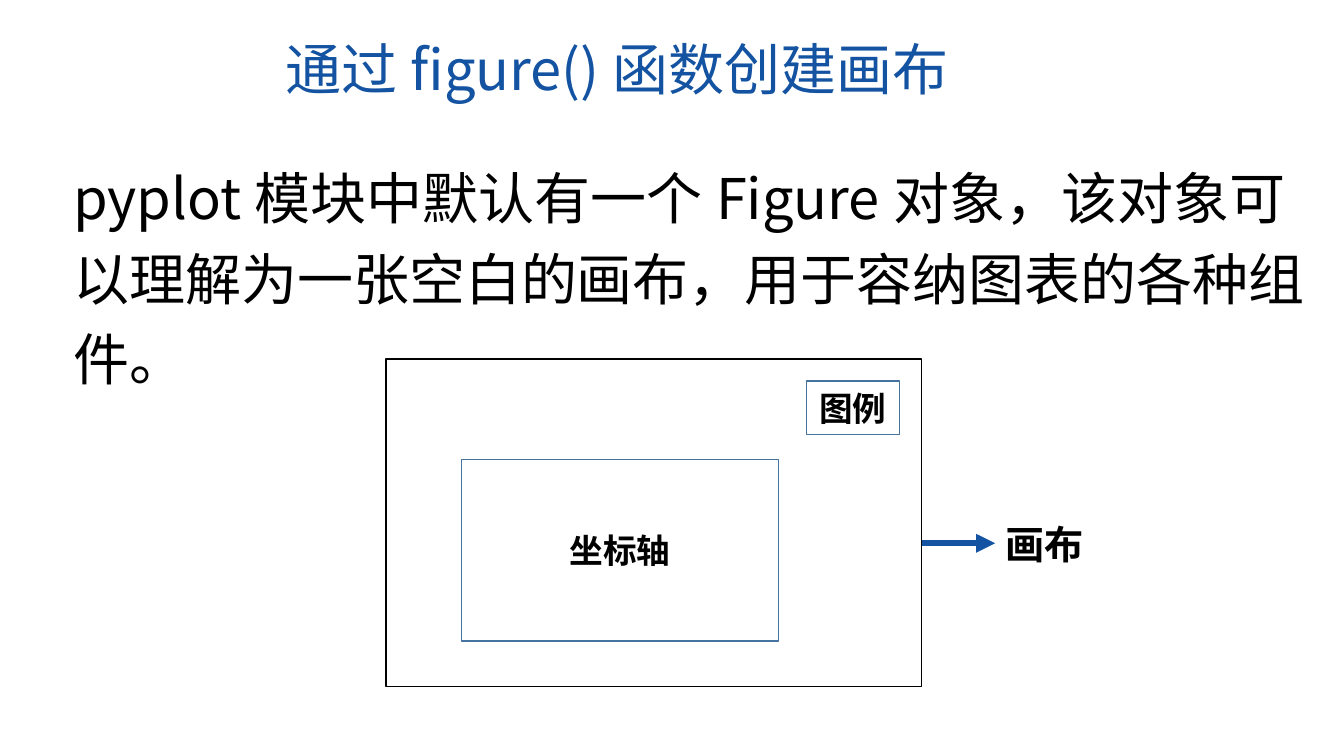
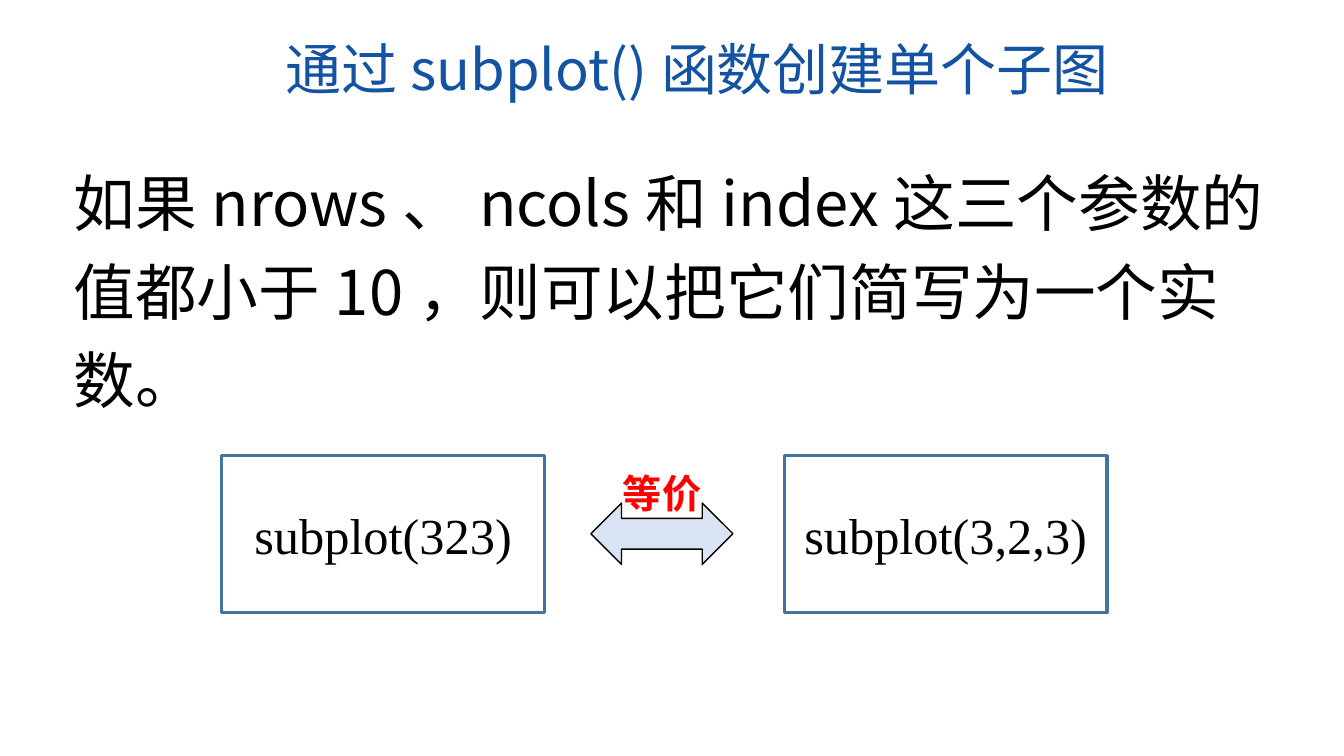
from lxml.etree import SubElement
from pptx import Presentation
from pptx.dml.color import RGBColor
from pptx.enum.lang import MSO_LANGUAGE_ID
from pptx.enum.shapes import MSO_CONNECTOR, MSO_SHAPE
from pptx.enum.text import MSO_ANCHOR, PP_ALIGN
from pptx.oxml.ns import qn
from pptx.util import Inches, Pt

BLUE = RGBColor(0x13, 0x53, 0xA2)
STEEL = RGBColor(0x43, 0x73, 0x9E)
PALE = RGBColor(0xDA, 0xE3, 0xF3)
RED = RGBColor(0xFF, 0x00, 0x00)
BLACK = RGBColor(0x00, 0x00, 0x00)
WHITE = RGBColor(0xFF, 0xFF, 0xFF)
SANS = "Noto Sans CJK SC"
SERIF = "Times New Roman"


class Lesson:
    """Hold the shared style and the current slide."""

    def __init__(self):
        self.deck = Presentation()
        self.deck.slide_width = Inches(13.33)
        self.deck.slide_height = Inches(7.5)
        self.page = None

    def add_page(self, title):
        self.page = self.deck.slides.add_slide(self.deck.slide_layouts[6])
        self.text(title, 2.73, 0.29, 8.41, 0.77, 40, BLUE)

    def set_words(self, box, words, size, color=BLACK, bold=False, font=SANS):
        box.text_frame.text = words
        paragraph = box.text_frame.paragraphs[0]
        for span in paragraph.runs:
            span.font.size = Pt(size)
            span.font.bold = bold
            span.font.color.rgb = color
            span.font.name = font
            span.font.language_id = MSO_LANGUAGE_ID.SIMPLIFIED_CHINESE
            east_asian = SubElement(span.font._element, qn("a:ea"))
            east_asian.set("typeface", font)
        return paragraph

    def text(self, words, left, top, width, height, size,
             color=BLACK, bold=False, wrap=True):
        box = self.page.shapes.add_textbox(
            Inches(left), Inches(top), Inches(width), Inches(height))
        box.text_frame.word_wrap = wrap
        self.set_words(box, words, size, color, bold)
        return box

    def body(self, words, width, height, size):
        box = self.text(words, 0.63, 1.44, width, height, size)
        box.text_frame.paragraphs[0].line_spacing = 1.2

    def label(self, words, left, top, color=BLACK):
        return self.text(words, left, top, 0.99, 0.56, 28, color, True, False)

    def shape(self, left, top, width, height, fill=None, line=STEEL,
              weight=1, kind=MSO_SHAPE.RECTANGLE):
        shape = self.page.shapes.add_shape(
            kind, Inches(left), Inches(top), Inches(width), Inches(height))
        shape.shadow.inherit = False
        if fill is None:
            shape.fill.background()
        else:
            shape.fill.solid()
            shape.fill.fore_color.rgb = fill
        shape.line.color.rgb = line
        shape.line.width = Pt(weight)
        return shape

    def caption(self, shape, words, size, bold=False, font=SANS):
        shape.text_frame.vertical_anchor = MSO_ANCHOR.MIDDLE
        paragraph = self.set_words(shape, words, size, bold=bold, font=font)
        paragraph.alignment = PP_ALIGN.CENTER

    def arrow_to(self, target, left, top):
        arrow = self.page.shapes.add_connector(
            MSO_CONNECTOR.STRAIGHT, Inches(left), Inches(top),
            target.left, Inches(top))
        arrow.end_connect(target, 1)
        arrow.line.color.rgb = BLUE
        arrow.line.width = Pt(4.5)
        line = arrow.line._get_or_add_ln()
        SubElement(line, qn("a:tailEnd")).set("type", "triangle")
        SubElement(arrow._element.spPr, qn("a:effectLst"))


def figure_page(lesson):
    lesson.add_page("通过figure()函数创建画布")
    lesson.body("pyplot模块中默认有一个Figure对象，该对象可以理解为一张空白的画布，"
                "用于容纳图表的各种组件。", 12.7, 1.72, 40)
    lesson.shape(3.83, 3.56, 5.31, 3.25, WHITE, BLACK)
    legend = lesson.shape(8, 3.78, 0.92, 0.53, WHITE)
    lesson.caption(legend, "图例", 24, True)
    axes = lesson.shape(4.58, 4.56, 3.14, 1.8)
    lesson.caption(axes, "坐标轴", 24, True)
    canvas_label = lesson.label("画布", 9.87, 5.11)
    lesson.arrow_to(canvas_label, 9.14, 5.39)


def subplot_page(lesson):
    lesson.add_page("通过subplot()函数创建单个子图")
    lesson.body("如果nrows、ncols和index这三个参数的值都小于10，"
                "则可以把它们简写为一个实数。", 12.02, 1.79, 44)
    for left, call in ((2.2, "subplot(323)"), (7.78, "subplot(3,2,3)")):
        call_box = lesson.shape(left, 4.52, 3.2, 1.56, weight=2.25)
        lesson.caption(call_box, call, 36, font=SERIF)
    lesson.shape(5.86, 4.99, 1.41, 0.61, PALE, BLACK,
                 kind=MSO_SHAPE.LEFT_RIGHT_ARROW)
    lesson.label("等价", 6.08, 4.61, RED)


def main():
    lesson = Lesson()
    figure_page(lesson)
    subplot_page(lesson)
    lesson.deck.save("out.pptx")


if __name__ == "__main__":
    main()
